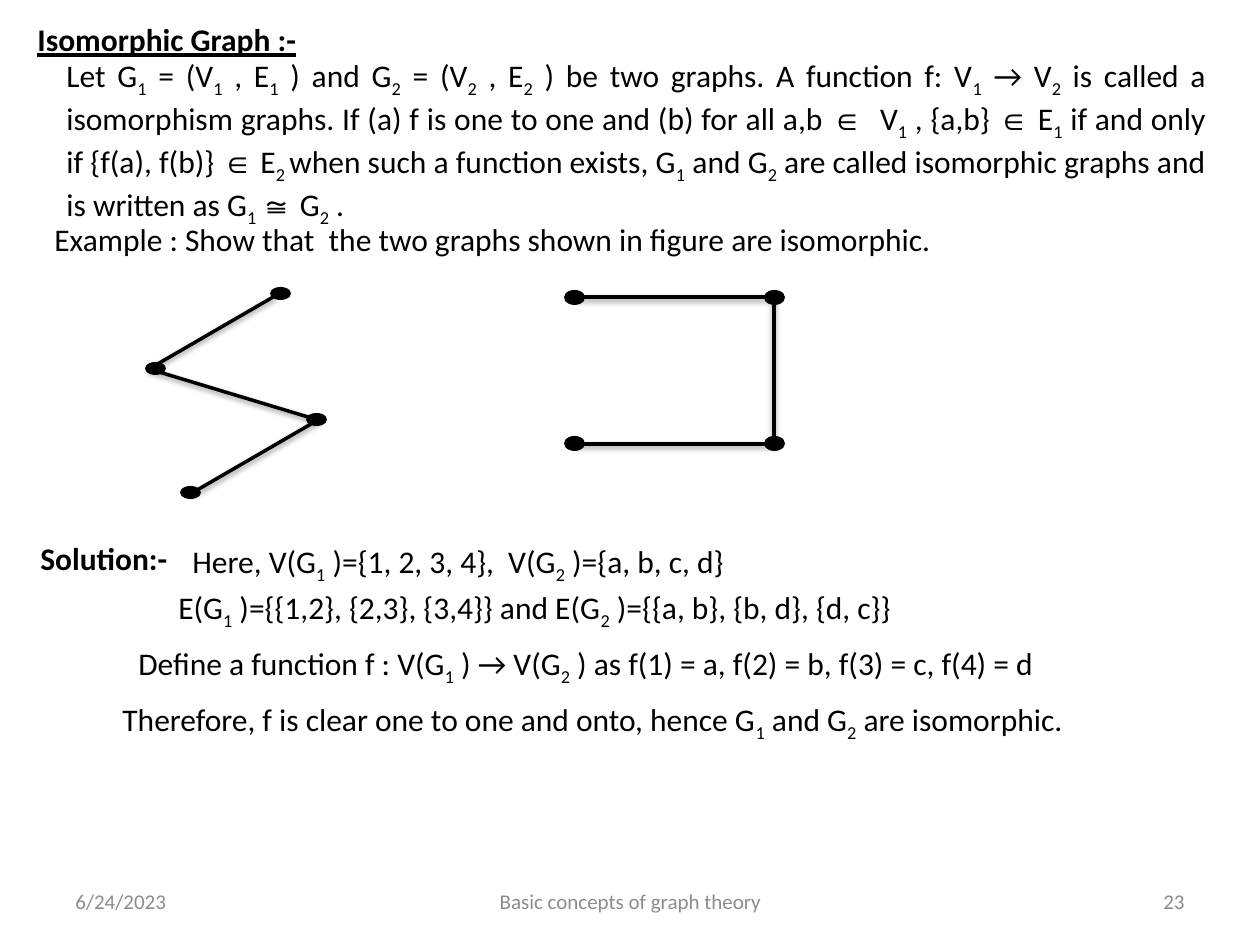
from dataclasses import dataclass

from lxml import etree
from pptx import Presentation
from pptx.dml.color import RGBColor
from pptx.enum.shapes import MSO_CONNECTOR, MSO_SHAPE
from pptx.enum.text import MSO_ANCHOR, PP_ALIGN
from pptx.oxml import parse_xml
from pptx.oxml.ns import nsdecls, qn
from pptx.util import Emu, Pt


@dataclass(frozen=True)
class Theme:
    ink: RGBColor = RGBColor(0x00, 0x00, 0x00)
    muted: RGBColor = RGBColor(0x8C, 0x8C, 0x8C)
    font: str = "Calibri"
    symbol_font: str = "Times New Roman"
    body: int = 18
    footer: int = 12
    edge: int = 2


THEME = Theme()
SCALE = 914400 / 126

SHADOW = (
    f'<a:effectLst {nsdecls("a")}>'
    '<a:outerShdw blurRad="40000" dist="20000" dir="5400000" rotWithShape="0">'
    '<a:srgbClr val="000000"><a:alpha val="38000"/></a:srgbClr>'
    '</a:outerShdw></a:effectLst>'
)

DEFINITION = (
    "Let G~1~ = (V~1~ , E~1~ ) and G~2~ = (V~2~ , E~2~ ) be two graphs. "
    "A function f: V~1~ → V~2~ is called a isomorphism graphs. "
    "If (a) f is one to one and (b) for all a,b ^∈  ^V~1~ , {a,b} ^∈ ^E~1~ "
    "if and only if {f(a), f(b)} ^∈^ E~2 ~when such a function exists, "
    "G~1~ and G~2~ are called isomorphic graphs and is written as "
    "G~1 ~^≅ ^G~2~ ."
)

HEADING = {"bold": True, "underline": True}
LABEL = {"bold": True}

TEXTS = [
    ((42, 214, 945, 50), "Example : Show that  the two graphs shown in figure are isomorphic.", True, {}),
    ((25, 14, 294, 50), "Isomorphic Graph :-", False, HEADING),
    ((28, 533, 161, 50), "Solution:-", False, LABEL),
    ((180, 536, 567, 50), "Here, V(G~1~ )={1, 2, 3, 4},  V(G~2~ )={a, b, c, d}", False, {}),
    ((166, 582, 770, 50), "E(G~1~ )={{1,2}, {2,3}, {3,4}} and E(G~2~ )={{a, b}, {b, d}, {d, c}}", True, {}),
    ((126, 638, 979, 50), "Define a function f : V(G~1~ ) → V(G~2~ ) as f(1) = a, f(2) = b, f(3) = c, f(4) = d", True, {}),
    ((110, 694, 1042, 50), "Therefore, f is clear one to one and onto, hence G~1~ and G~2~ are isomorphic.", True, {}),
]

FOOTERS = [
    ((63, 876, 294, 50), "6/24/2023", PP_ALIGN.LEFT),
    ((903, 876, 294, 50), "23", PP_ALIGN.RIGHT),
    ((431, 876, 399, 50), "Basic concepts of graph theory", PP_ALIGN.CENTER),
]

ZIGZAG_EDGES = [(275, 296, 149, 369), (318, 420, 192, 493), (149, 369, 318, 420)]
ZIGZAG_NODES = [(145, 362), (270, 287), (306, 413), (180, 486)]
BRACKET_EDGES = [(576, 297, 775, 297), (576, 444, 775, 444), (774, 297, 774, 444)]
BRACKET_NODES = [(x, y) for x in (564, 764) for y in (290, 436)]


def px(*values):
    return [Emu(round(v * SCALE)) for v in values]


def style(font, **values):
    color = values.pop("color", THEME.ink)
    for name, value in values.items():
        setattr(font, name, value)
    font.color.rgb = color


def add_runs(p, text, **values):
    for i, chunk in enumerate(text.split("^")):
        name = THEME.symbol_font if i % 2 else THEME.font
        for j, part in enumerate(chunk.split("~")):
            if not part:
                continue
            r = p.add_run()
            r.text = part
            style(r.font, **{"name": name, "size": Pt(THEME.body), **values})
            if j % 2:
                r.font._element.set("baseline", "-25000")


def add_text(s, box, text, wrap=True, align=PP_ALIGN.LEFT, anchor=MSO_ANCHOR.TOP, **values):
    tf = s.shapes.add_textbox(*px(*box)).text_frame
    tf.word_wrap = wrap
    tf.vertical_anchor = anchor
    p = tf.paragraphs[0]
    p.alignment = align
    add_runs(p, text, **values)


def add_edge(shapes, ends):
    line = shapes.add_connector(MSO_CONNECTOR.STRAIGHT, *px(*ends))
    line.line.color.rgb = THEME.ink
    line.line.width = Pt(THEME.edge)
    line._element.spPr.append(parse_xml(SHADOW))


def add_node(shapes, corner, size):
    sp = shapes.add_shape(MSO_SHAPE.OVAL, *px(*corner, *size))
    sp.shadow.inherit = False
    sp.fill.solid()
    sp.fill.fore_color.rgb = THEME.ink
    sp.line.fill.background()


def add_graph(s, edges, nodes, size):
    shapes = s.shapes.add_group_shape().shapes
    for ends in edges:
        add_edge(shapes, ends)
    for corner in nodes:
        add_node(shapes, corner, size)


def main():
    prs = Presentation()
    prs.slide_width, prs.slide_height = px(1260, 945)
    s = prs.slides.add_slide(prs.slide_layouts[6])
    add_graph(s, ZIGZAG_EDGES, ZIGZAG_NODES, (21, 13))
    add_graph(s, BRACKET_EDGES, BRACKET_NODES, (21, 15))
    for box, text, align in FOOTERS:
        add_text(s, box, text, align=align, anchor=MSO_ANCHOR.MIDDLE,
                 size=Pt(THEME.footer), color=THEME.muted)
    add_text(s, (54, 50, 1164, 165), DEFINITION, align=PP_ALIGN.JUSTIFY)
    for box, text, wrap, values in TEXTS:
        add_text(s, box, text, wrap, **values)
    prs.save("out.pptx")


if __name__ == "__main__":
    main()
